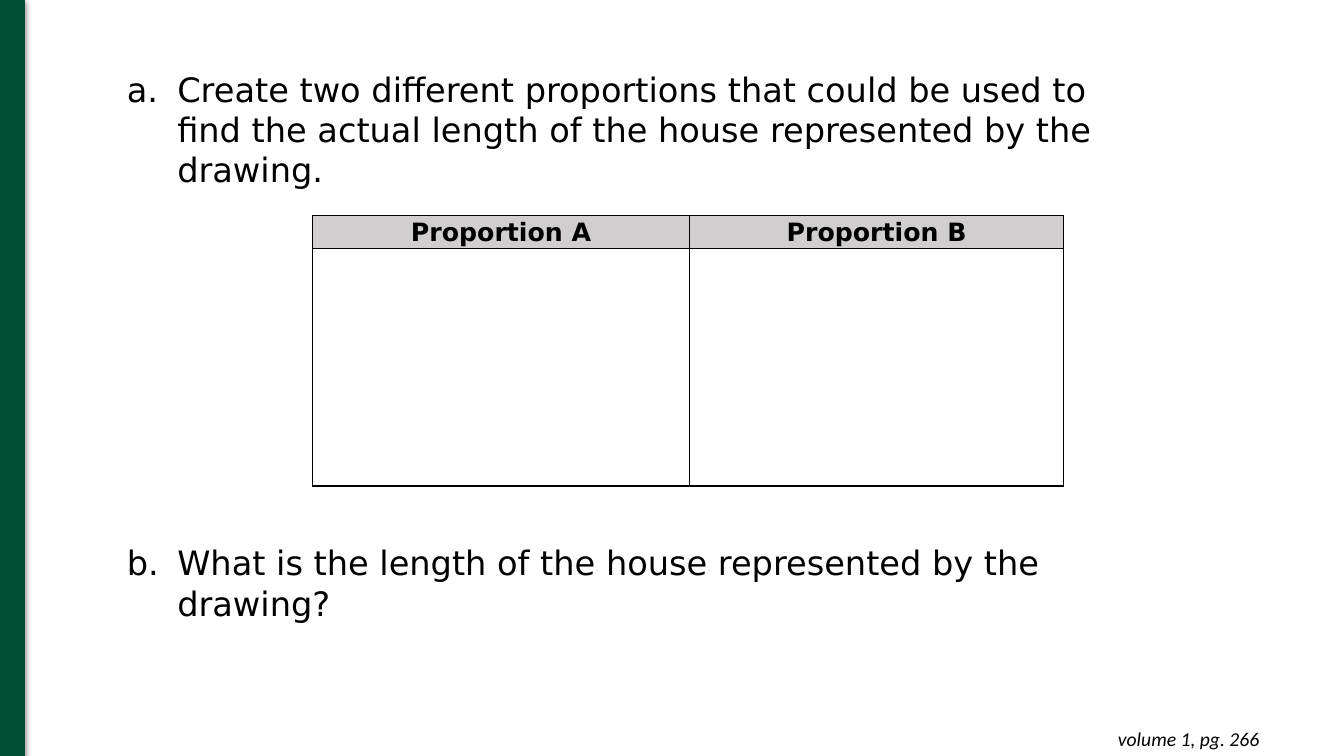
import lxml.etree
import pptx
import pptx.dml.color
import pptx.enum.shapes
import pptx.enum.text
import pptx.oxml
import pptx.oxml.ns
import pptx.util

Inches, Pt = pptx.util.Inches, pptx.util.Pt
RGB = pptx.dml.color.RGBColor.from_string
ALIGN = pptx.enum.text.PP_ALIGN
COLORS = {"green": "035036", "black": "000000", "header": "D0CECE"}
NS = pptx.oxml.ns.nsdecls("a")


def style(paragraph, font_name, size, bold=False, italic=False):
    for run in paragraph.runs:
        run.font.name = font_name
        run.font.size = Pt(size)
        run.font.bold = bold
        run.font.italic = italic
        run.font.color.rgb = RGB(COLORS["black"])


def add_text(left, top, width, height, text):
    frame = slide.shapes.add_textbox(
        Inches(left), Inches(top), Inches(width), Inches(height)).text_frame
    frame.word_wrap = True
    frame.auto_size = pptx.enum.text.MSO_AUTO_SIZE.SHAPE_TO_FIT_TEXT
    frame.text = text
    return frame


deck = pptx.Presentation()
deck.slide_width, deck.slide_height = Inches(13.33), Inches(7.5)
slide = deck.slides.add_slide(deck.slide_layouts[6])

# Green band with a soft shadow
band = slide.shapes.add_shape(
    pptx.enum.shapes.MSO_SHAPE.RECTANGLE, 0, 0, Inches(0.24), Inches(7.51))
band.fill.solid()
band.fill.fore_color.rgb = RGB(COLORS["green"])
band.line.color.rgb = RGB(COLORS["green"])
band.line.width = Pt(0.75)
band.shadow.inherit = False
effects = band._element.spPr.find(pptx.oxml.ns.qn("a:effectLst"))
effects.append(pptx.oxml.parse_xml(
    f'<a:outerShdw {NS} blurRad="{Pt(4.5)}" dist="{Pt(1.5)}" dir="5400000" rotWithShape="0">'
    f'<a:srgbClr val="{COLORS["black"]}"><a:alpha val="50000"/></a:srgbClr></a:outerShdw>'))

# Page reference
reference = add_text(8, 7.11, 4.59, 0.44, "volume 1, pg. 266")
reference.margin_left = reference.margin_right = Inches(0.1)
reference.margin_top = reference.margin_bottom = Inches(0.1)
reference.paragraphs[0].alignment = ALIGN.RIGHT
style(reference.paragraphs[0], "Calibri", 14, italic=True)

# Lettered questions
questions = [
    (0.63, 1.31, "Create two different proportions that could be used to find "
                 "the actual length of the house represented by the drawing."),
    (5.33, 0.91, "What is the length of the house represented by the drawing?"),
]
for number, (top, height, wording) in enumerate(questions, start=1):
    question = add_text(0.66, top, 10.68, height, wording).paragraphs[0]
    properties = question._p.get_or_add_pPr()
    properties.set("marL", str(Inches(1)))
    properties.set("indent", str(Inches(-0.5)))
    properties.append(pptx.oxml.parse_xml(
        f'<a:buClr {NS}><a:srgbClr val="{COLORS["black"]}"/></a:buClr>'))
    properties.append(pptx.oxml.parse_xml(
        f'<a:buFont {NS} typeface="DejaVu Sans"/>'))
    properties.append(pptx.oxml.parse_xml(
        f'<a:buAutoNum {NS} type="alphaLcPeriod" startAt="{number}"/>'))
    style(question, "DejaVu Sans", 24)

# Proportion table
proportions = slide.shapes.add_table(
    2, 2, Inches(3.1), Inches(2.14), Inches(7.45), Inches(2.68)).table
for column, width in zip(proportions.columns, (3.74, 3.71)):
    column.width = Inches(width)
for row, height in zip(proportions.rows, (0.32, 2.36)):
    row.height = Inches(height)
for cell, heading in zip(proportions.rows[0].cells, ("Proportion A", "Proportion B")):
    cell.text = heading
    cell.margin_left = cell.margin_right = Inches(0.07)
    cell.margin_top = cell.margin_bottom = 0
    cell.fill.solid()
    cell.fill.fore_color.rgb = RGB(COLORS["header"])
    paragraph = cell.text_frame.paragraphs[0]
    paragraph.alignment = ALIGN.CENTER
    paragraph.line_spacing = 1.07
    style(paragraph, "DejaVu Sans", 18, bold=True)
for cell in proportions.rows[1].cells:
    cell.fill.background()
for cell in proportions.iter_cells():
    for position, side in enumerate(("lnL", "lnR", "lnT", "lnB")):
        cell._tc.get_or_add_tcPr().insert(position, pptx.oxml.parse_xml(
            f'<a:{side} {NS} w="{Pt(1)}"><a:solidFill>'
            f'<a:srgbClr val="{COLORS["black"]}"/></a:solidFill></a:{side}>'))

deck.save("out.pptx")
